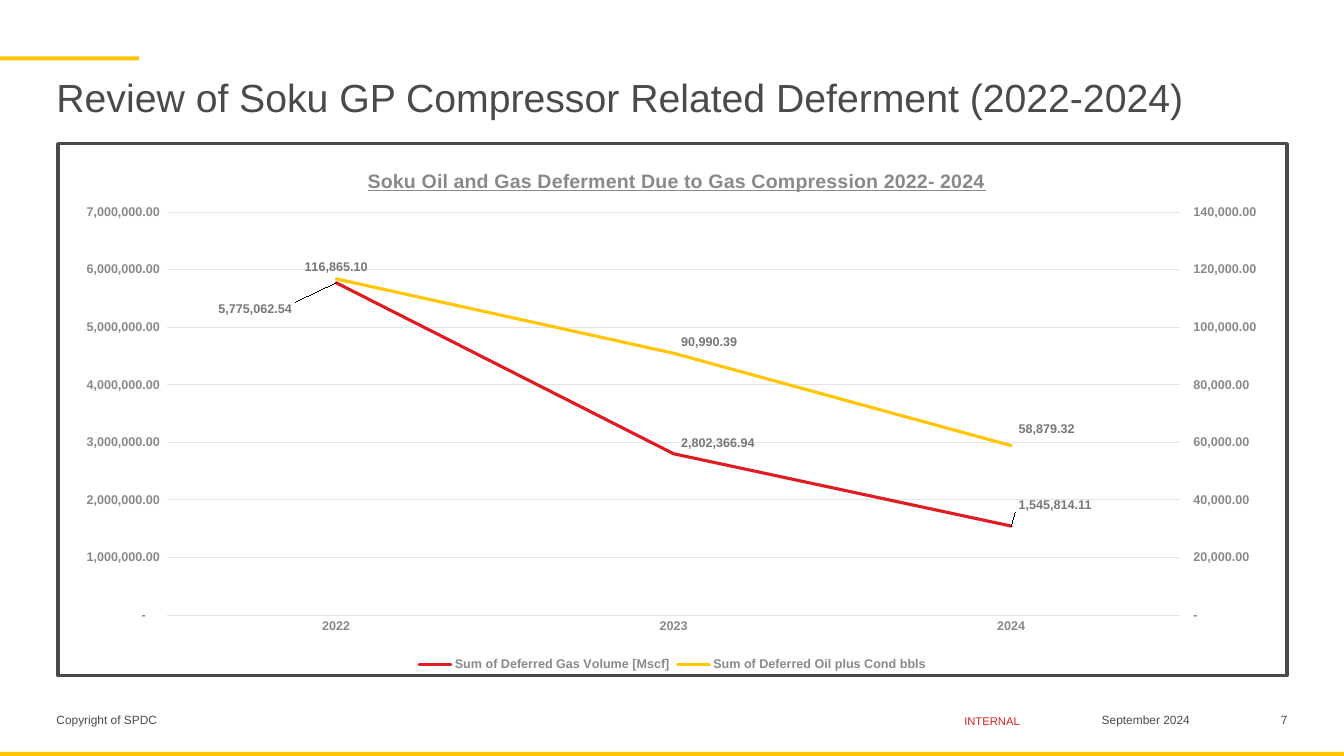
import copy
from dataclasses import dataclass

import lxml.etree
import pptx
import pptx.chart.chart
import pptx.chart.data
import pptx.chart.series
import pptx.dml.color
import pptx.enum.chart
import pptx.enum.shapes
import pptx.enum.text
import pptx.oxml
import pptx.oxml.ns
import pptx.slide
import pptx.text.text
import pptx.util

Inches = pptx.util.Inches
Pt = pptx.util.Pt
RGBColor = pptx.dml.color.RGBColor
Align = pptx.enum.text.PP_ALIGN
LabelPosition = pptx.enum.chart.XL_LABEL_POSITION
TickMark = pptx.enum.chart.XL_TICK_MARK
qn = pptx.oxml.ns.qn

DARK_GREY = RGBColor(0x4A, 0x4A, 0x4A)
AXIS_GREY = RGBColor(0x89, 0x89, 0x89)
LABEL_GREY = RGBColor(0x77, 0x77, 0x77)
GRID_GREY = RGBColor(0xE4, 0xE4, 0xE4)
YELLOW = RGBColor(0xFF, 0xC6, 0x00)
RED = RGBColor(0xDD, 0x1D, 0x21)
FONT = "Arial"
NUMBER_FORMAT = '_(* #,##0.00_);_(* \\(#,##0.00\\);_(* "-"??_);_(@_)'


@dataclass(frozen=True)
class Bar:
    left: float
    top: float
    width: float


@dataclass(frozen=True)
class FooterItem:
    text: str
    left: float
    top: float
    width: float
    height: float
    alignment: Align
    size: float = 8.5
    color: RGBColor = DARK_GREY


@dataclass(frozen=True)
class PointLabel:
    position: LabelPosition
    shift_x: float = 0
    shift_y: float = 0


@dataclass(frozen=True)
class Deferment:
    name: str
    values: tuple[float, ...]
    color: RGBColor
    labels: tuple[PointLabel, ...]


BARS = (Bar(-0.01, 0.56, 1.39), Bar(0, 7.46, 13.33))
FOOTER = (
    FooterItem("Copyright of SPDC", 0.56, 7.07, 3.67, 0.26, Align.LEFT),
    FooterItem("INTERNAL", 9.25, 7.09, 1.18, 0.19, Align.CENTER, 8, RED),
    FooterItem("September 2024", 10.58, 7.07, 1.57, 0.26, Align.CENTER),
    FooterItem("7", 12.38, 7.07, 0.39, 0.26, Align.RIGHT),
)
YEARS = ("2022", "2023", "2024")
DEFERMENTS = (
    Deferment("Sum of Deferred Gas Volume [Mscf]", (5775062.54, 2802366.94, 1545814.11), RED, (
        PointLabel(LabelPosition.LEFT, -0.03, 0.05),
        PointLabel(LabelPosition.RIGHT, 0, -0.02),
        PointLabel(LabelPosition.RIGHT, 0, -0.04))),
    Deferment("Sum of Deferred Oil plus Cond bbls", (116865.10, 90990.39, 58879.32), YELLOW, (
        PointLabel(LabelPosition.ABOVE),
        PointLabel(LabelPosition.RIGHT, 0, -0.02),
        PointLabel(LabelPosition.RIGHT, 0, -0.03))),
)


def format_font(font: pptx.text.text.Font, *, size: float, color: RGBColor,
                bold: bool = False, underline: bool = False) -> None:
    font.name = FONT
    font.size = Pt(size)
    font.bold = bold
    font.underline = underline
    font.color.rgb = color


def write_text(text_frame: pptx.text.text.TextFrame, text: str, *,
               alignment: Align = Align.LEFT, line_spacing: float = 1, **font_format) -> None:
    paragraph = text_frame.paragraphs[0]
    paragraph.alignment = alignment
    paragraph.line_spacing = line_spacing
    run = paragraph.add_run()
    run.text = text
    format_font(run.font, **font_format)


def set_frame(text_frame: pptx.text.text.TextFrame, bottom: float = 0) -> None:
    text_frame.word_wrap = True
    text_frame.auto_size = pptx.enum.text.MSO_AUTO_SIZE.NONE
    text_frame.vertical_anchor = pptx.enum.text.MSO_ANCHOR.TOP
    text_frame.margin_left = text_frame.margin_top = text_frame.margin_right = 0
    text_frame.margin_bottom = Inches(bottom)


def chart_xml(content: str) -> lxml.etree.ElementBase:
    tag, rest = content.split(" ", 1)
    namespaces = pptx.oxml.ns.nsdecls("c", "a")
    return pptx.oxml.parse_xml(f"<{tag} {namespaces} {rest}")


def manual_layout(inner: bool = False, **factors: float) -> lxml.etree.ElementBase:
    target = '<c:layoutTarget val="inner"/>' if inner else ""
    modes = "".join(f'<c:{axis}Mode val="edge"/>' for axis in "xy") if inner else ""
    sizes = "".join(f'<c:{name} val="{value}"/>' for name, value in factors.items())
    return chart_xml(f"c:layout ><c:manualLayout>{target}{modes}{sizes}</c:manualLayout></c:layout>")


def format_series(series: pptx.chart.series.LineSeries, deferment: Deferment) -> None:
    series.smooth = False
    series.marker.style = pptx.enum.chart.XL_MARKER_STYLE.NONE
    series.format.line.color.rgb = deferment.color
    series.format.line.width = Pt(2.25)
    series.format.line.fill._xPr.set("cap", "rnd")
    labels = series.data_labels
    labels.show_value = True
    labels.number_format = NUMBER_FORMAT
    labels.number_format_is_linked = False
    format_font(labels.font, size=9, color=LABEL_GREY, bold=True)
    for index, point_label in enumerate(deferment.labels):
        label = series.points[index].data_label
        format_font(label.font, size=9, color=LABEL_GREY, bold=True)
        label.position = point_label.position
        element = labels._element.findall(qn("c:dLbl"))[index]
        element.insert(1, manual_layout(x=point_label.shift_x, y=point_label.shift_y))
        element.insert(2, copy.deepcopy(labels._element.find(qn("c:numFmt"))))


def format_axes(chart: pptx.chart.chart.Chart) -> None:
    for axis in (chart.category_axis, chart.value_axis):
        axis.major_tick_mark = axis.minor_tick_mark = TickMark.NONE
        format_font(axis.tick_labels.font, size=9, color=AXIS_GREY, bold=True)
    chart.category_axis.format.line.color.rgb = GRID_GREY
    chart.category_axis.format.line.width = Pt(0.75)
    axis = chart.value_axis
    axis.minimum_scale, axis.maximum_scale, axis.major_unit = 0, 7000000, 1000000
    axis.tick_labels.number_format = NUMBER_FORMAT
    axis.tick_labels.number_format_is_linked = False
    axis.format.line.fill.background()
    axis.major_gridlines.format.line.color.rgb = GRID_GREY
    axis.major_gridlines.format.line.width = Pt(0.75)


def move_oil_to_right_axis(chart: pptx.chart.chart.Chart) -> None:
    plot_area = chart._chartSpace.find(f".//{qn('c:plotArea')}")
    gas_plot = plot_area.find(qn("c:lineChart"))
    oil_plot = copy.deepcopy(gas_plot)
    gas_plot.remove(gas_plot.findall(qn("c:ser"))[1])
    oil_plot.remove(oil_plot.findall(qn("c:ser"))[0])
    gas_plot.addnext(oil_plot)
    category_axis = copy.deepcopy(plot_area.find(qn("c:catAx")))
    value_axis = copy.deepcopy(plot_area.find(qn("c:valAx")))
    value_axis.remove(value_axis.find(qn("c:majorGridlines")))
    for axis, own, crossing in ((category_axis, "5001", "5002"), (value_axis, "5002", "5001")):
        axis.find(qn("c:axId")).set("val", own)
        axis.find(qn("c:crossAx")).set("val", crossing)
    for reference, identifier in zip(oil_plot.findall(qn("c:axId")), ("5001", "5002")):
        reference.set("val", identifier)
    category_axis.find(qn("c:delete")).set("val", "1")
    for tag, value in (("axPos", "r"), ("crosses", "max"), ("majorTickMark", "out"),
                       ("scaling/c:max", "140000"), ("majorUnit", "20000")):
        value_axis.find(f"c:{tag}", value_axis.nsmap).set("val", value)
    plot_area.find(qn("c:valAx")).addnext(value_axis)
    value_axis.addnext(category_axis)
    for layout in plot_area.findall(qn("c:layout")):
        plot_area.remove(layout)
    plot_area.insert(0, manual_layout(inner=True, x=0.089, y=0.129, w=0.824, h=0.757))


def add_deferment_chart(slide: pptx.slide.Slide) -> None:
    data = pptx.chart.data.CategoryChartData()
    data.categories = YEARS
    for deferment in DEFERMENTS:
        data.add_series(deferment.name, deferment.values)
    chart = slide.shapes.add_chart(pptx.enum.chart.XL_CHART_TYPE.LINE, Inches(0.56), Inches(1.41),
                                   Inches(12.22), Inches(5.31), data).chart
    format_font(chart.font, size=10, color=DARK_GREY)
    chart.plots[0].vary_by_categories = False
    for series, deferment in zip(chart.plots[0].series, DEFERMENTS):
        format_series(series, deferment)
    format_axes(chart)
    move_oil_to_right_axis(chart)
    title = chart.chart_title
    write_text(title.text_frame, "Soku Oil and Gas Deferment Due to Gas Compression 2022- 2024",
               alignment=Align.CENTER, size=14, color=AXIS_GREY, bold=True, underline=True)
    for layout in title._element.findall(qn("c:layout")):
        title._element.remove(layout)
    title._element.find(qn("c:tx")).addnext(manual_layout(inner=True, x=0.249, y=0.04))
    chart.has_legend = True
    chart.legend.position = pptx.enum.chart.XL_LEGEND_POSITION.BOTTOM
    chart.legend.include_in_layout = False
    format_font(chart.legend.font, size=9, color=AXIS_GREY, bold=True)
    chart._chartSpace.find(qn("c:chart")).addnext(chart_xml(
        f'c:spPr ><a:noFill/><a:ln w="{Pt(2.25)}"><a:solidFill><a:srgbClr val="{DARK_GREY}"/>'
        "</a:solidFill><a:round/></a:ln></c:spPr>"))


def main() -> None:
    presentation = pptx.Presentation()
    presentation.slide_width, presentation.slide_height = Inches(13.33), Inches(7.5)
    slide = presentation.slides.add_slide(presentation.slide_layouts[5])
    title = slide.shapes.title
    title.left, title.top, title.width, title.height = map(Inches, (0.56, 0.78, 12.22, 0.88))
    set_frame(title.text_frame)
    write_text(title.text_frame, "Review of Soku GP Compressor Related Deferment (2022-2024)",
               line_spacing=0.9, size=28, color=DARK_GREY)
    for bar in BARS:
        shape = slide.shapes.add_shape(pptx.enum.shapes.MSO_SHAPE.RECTANGLE, Inches(bar.left),
                                       Inches(bar.top), Inches(bar.width), Inches(0.04))
        shape.shadow.inherit = False
        shape.fill.solid()
        shape.fill.fore_color.rgb = YELLOW
        shape.line.fill.background()
    for item in FOOTER:
        box = slide.shapes.add_textbox(*map(Inches, (item.left, item.top, item.width, item.height)))
        set_frame(box.text_frame, bottom=0.05)
        write_text(box.text_frame, item.text, alignment=item.alignment, size=item.size, color=item.color)
    add_deferment_chart(slide)
    presentation.save("out.pptx")


if __name__ == "__main__":
    main()
